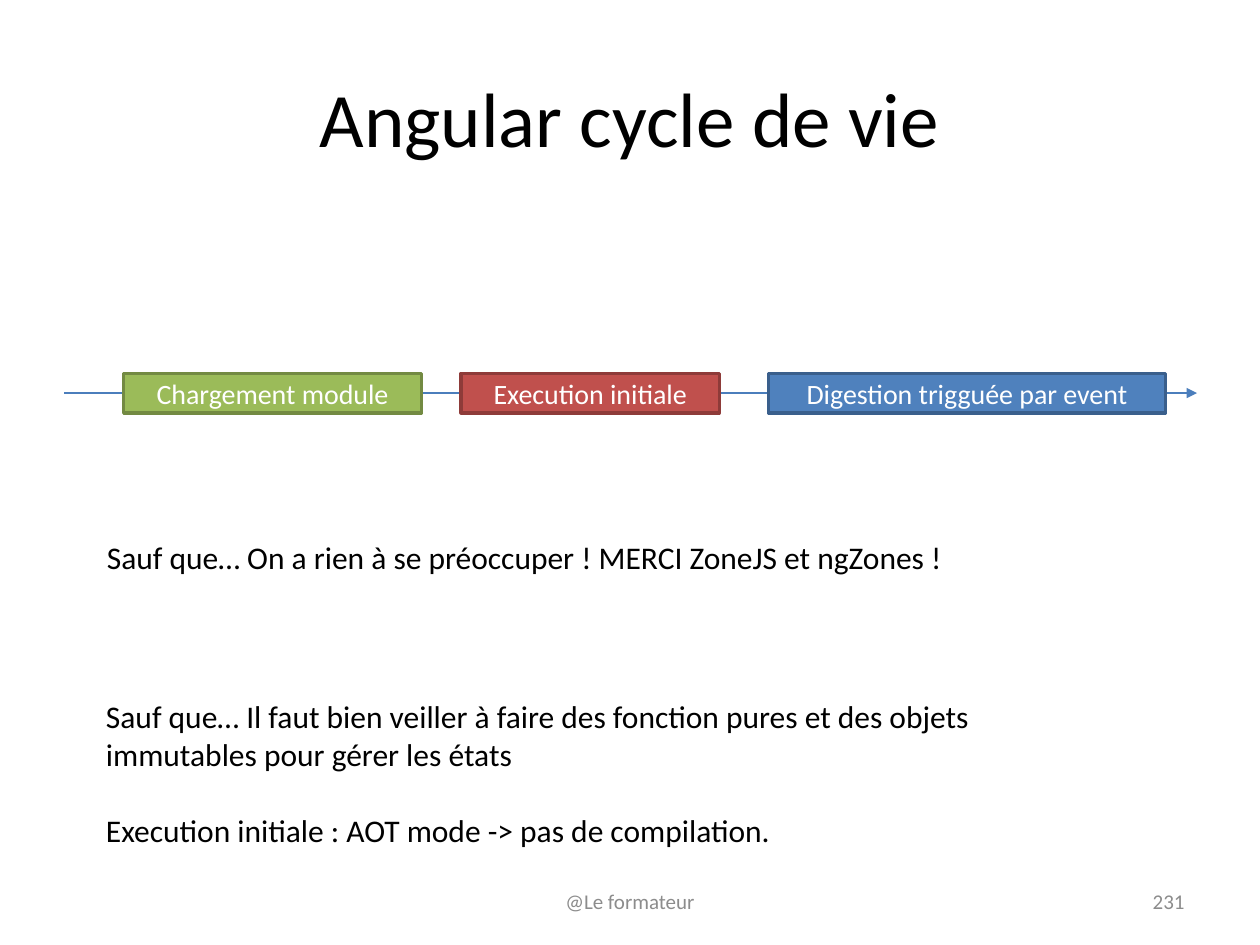
from lxml.etree import SubElement
from pptx import Presentation
from pptx.dml.color import RGBColor
from pptx.enum.shapes import MSO_CONNECTOR, MSO_SHAPE
from pptx.enum.text import MSO_ANCHOR, PP_ALIGN
from pptx.oxml.ns import qn
from pptx.util import Pt

THEME = {
    "font": "Calibri",
    "title": 44, "body": 18, "stage": 16, "footer": 12,
    "text": "000000", "muted": "8C8C8C", "inverse": "FFFFFF", "axis": "4B7EBC",
    "green": ("9BBB59", "738A42"),
    "red": ("C0504D", "8E3B39"),
    "blue": ("4F81BD", "3A5F8C"),
}

TEXTS = [
    (["Angular cycle de vie"], (36, 21.6, 648, 90),
     "title", "text", PP_ALIGN.CENTER, MSO_ANCHOR.MIDDLE),
    (["Sauf que… On a rien à se préoccuper ! MERCI ZoneJS et ngZones !"],
     (54, 303.8, 556, 29), "body", "text", PP_ALIGN.LEFT, MSO_ANCHOR.TOP),
    (["Sauf que… Il faut bien veiller à faire des fonction pures et des objets "
      "immutables pour gérer les états",
      "Execution initiale : AOT mode -> pas de compilation."],
     (53.5, 394.6, 556, 94.5), "body", "text", PP_ALIGN.LEFT, MSO_ANCHOR.TOP),
    (["@Le formateur"], (246, 500.5, 228, 28.75),
     "footer", "muted", PP_ALIGN.CENTER, MSO_ANCHOR.MIDDLE),
    (["231"], (516, 500.5, 168, 28.75),
     "footer", "muted", PP_ALIGN.RIGHT, MSO_ANCHOR.MIDDLE),
]

STAGES = [
    ("Chargement module", "green", 70.7, 170.2),
    ("Execution initiale", "red", 263.5, 147.6),
    ("Digestion trigguée par event", "blue", 439.2, 226.8),
]
AXIS_LEFT, AXIS_RIGHT, AXIS_Y = 36.7, 684, 224.6
STAGE_HEIGHT = 22.6
PARAGRAPH_GAP = 22


def write(shape, lines, size, color, align, anchor):
    frame = shape.text_frame
    frame.word_wrap = True
    frame.vertical_anchor = anchor
    for index, line in enumerate(lines):
        paragraph = frame.add_paragraph() if index else frame.paragraphs[0]
        paragraph.alignment = align
        if index:
            paragraph.space_before = Pt(PARAGRAPH_GAP)
        run = paragraph.add_run()
        run.text = line
        run.font.name = THEME["font"]
        run.font.size = Pt(THEME[size])
        run.font.color.rgb = RGBColor.from_string(THEME[color])


def add_axis(slide):
    axis = slide.shapes.add_connector(
        MSO_CONNECTOR.STRAIGHT,
        Pt(AXIS_LEFT), Pt(AXIS_Y), Pt(AXIS_RIGHT), Pt(AXIS_Y))
    axis.line.color.rgb = RGBColor.from_string(THEME["axis"])
    axis.line.width = Pt(0.75)
    properties = axis.element.spPr
    SubElement(properties.find(qn("a:ln")), qn("a:tailEnd"), type="triangle")
    SubElement(properties, qn("a:effectLst"))


def add_stage(slide, label, palette, left, width):
    fill, outline = THEME[palette]
    shape = slide.shapes.add_shape(
        MSO_SHAPE.RECTANGLE, Pt(left), Pt(AXIS_Y - STAGE_HEIGHT / 2),
        Pt(width), Pt(STAGE_HEIGHT))
    shape.shadow.inherit = False
    shape.fill.solid()
    shape.fill.fore_color.rgb = RGBColor.from_string(fill)
    shape.line.color.rgb = RGBColor.from_string(outline)
    shape.line.width = Pt(2)
    write(shape, [label], "stage", "inverse", PP_ALIGN.CENTER, MSO_ANCHOR.MIDDLE)


def main():
    presentation = Presentation()
    presentation.slide_width, presentation.slide_height = Pt(720), Pt(540)
    slide = presentation.slides.add_slide(presentation.slide_layouts[6])
    add_axis(slide)
    for stage in STAGES:
        add_stage(slide, *stage)
    for lines, bounds, *style in TEXTS:
        write(slide.shapes.add_textbox(*map(Pt, bounds)), lines, *style)
    presentation.save("out.pptx")


if __name__ == "__main__":
    main()
